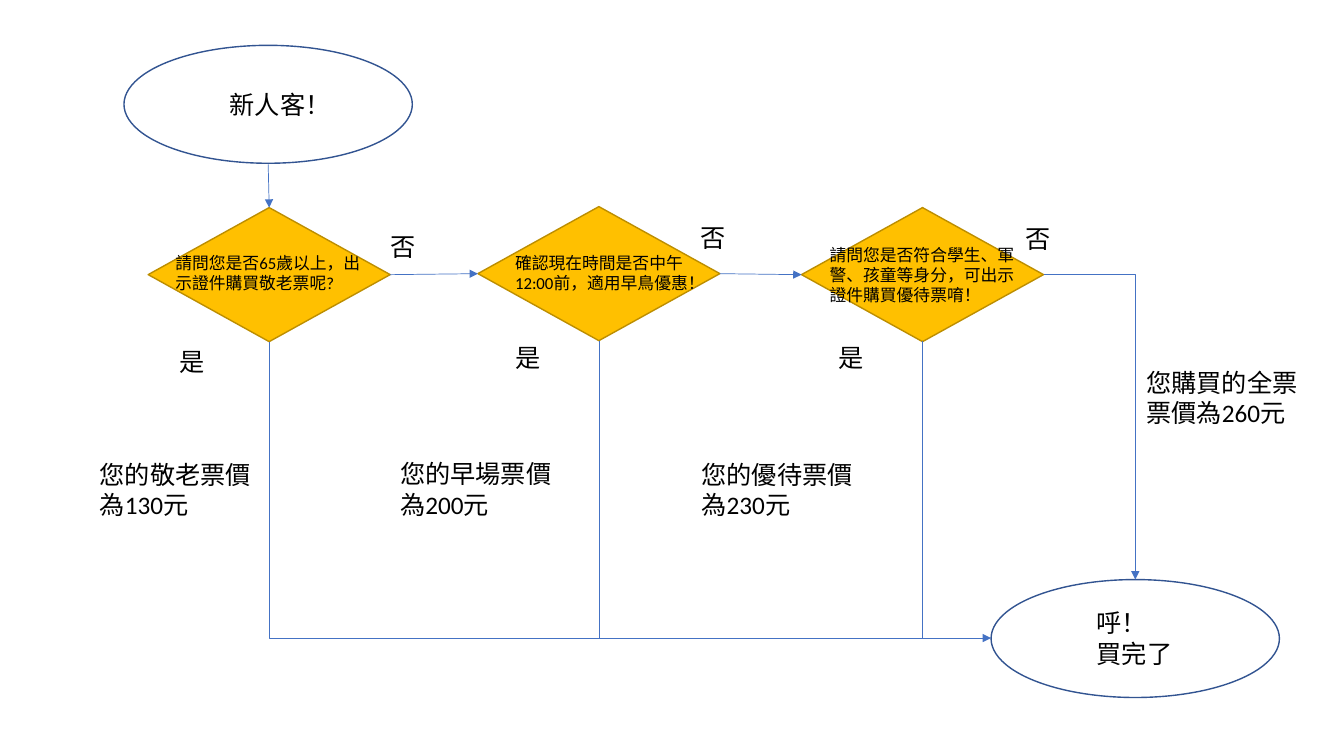
import pptx
import pptx.util
import pptx.dml.color
import pptx.enum.shapes
import pptx.enum.text
import pptx.oxml.ns
import pptx.oxml.xmlchemy
from dataclasses import dataclass

Inches = pptx.util.Inches
Pt = pptx.util.Pt
Kind = pptx.enum.shapes.MSO_SHAPE
Wire = pptx.enum.shapes.MSO_CONNECTOR
qn = pptx.oxml.ns.qn
make = pptx.oxml.xmlchemy.OxmlElement


@dataclass
class Theme:
    """Colours, font and sizes of the chart."""
    white: str = "FFFFFF"
    ink: str = "000000"
    gold: str = "FFC000"
    rim: str = "BD8E00"
    navy: str = "325491"
    blue: str = "4472C4"
    font: str = "Calibri"
    big: float = 18
    small: float = 12
    edge: float = 1
    thin: float = 0.5


def color(code):
    """Turn a hex code into a colour."""
    return pptx.dml.color.RGBColor.from_string(code)


def apply(item, values):
    """Set each named attribute on item."""
    for name, value in values.items():
        setattr(item, name, value)


class Flow:
    """Draws flow chart parts on one slide."""

    def __init__(self, slide, theme):
        """Keep the slide and its style."""
        self.shapes = slide.shapes
        self.theme = theme

    def node(self, kind, box, fill, line):
        """Add a filled, outlined shape."""
        shape = self.shapes.add_shape(kind, *map(Inches, box))
        shape.shadow.inherit = False
        shape.fill.solid()
        shape.fill.fore_color.rgb = color(fill)
        shape.line.color.rgb = color(line)
        shape.line.width = Pt(self.theme.edge)
        return shape

    def oval(self, x, y):
        """Add a start or end oval."""
        return self.node(Kind.OVAL, (x, y, 2.86, 1.17), self.theme.white, self.theme.navy)

    def choice(self, x, y):
        """Add a decision diamond."""
        return self.node(Kind.FLOWCHART_DECISION, (x, y, 2.4, 1.33), self.theme.gold, self.theme.rim)

    def text(self, words, x, y, wide, high=0.4, size=None):
        """Add a wrapped text box, one paragraph per line."""
        frame = self.shapes.add_textbox(*map(Inches, (x, y, wide, high))).text_frame
        apply(frame, {"word_wrap": True, "text": words,
                      "auto_size": pptx.enum.text.MSO_AUTO_SIZE.SHAPE_TO_FIT_TEXT})
        for para in frame.paragraphs:
            for run in para.runs:
                apply(run.font, {"name": self.theme.font, "size": Pt(size or self.theme.big)})
                run.font.color.rgb = color(self.theme.ink)

    def wire(self, start, end, arrow=True, kind=Wire.STRAIGHT):
        """Add a thin line, with an arrowhead if asked."""
        link = self.shapes.add_connector(kind, *map(Inches, start + end))
        link.line.color.rgb = color(self.theme.blue)
        link.line.width = Pt(self.theme.thin)
        props = link._element.spPr
        if arrow:
            tail = make("a:tailEnd")
            tail.set("type", "triangle")
            props.find(qn("a:ln")).append(tail)
        props.append(make("a:effectLst"))
        return link

    def bend(self, start, end, down=False):
        """Add a one-corner arrow, first across or first down."""
        (x1, y1), (x2, y2) = start, end
        if down:  # the same elbow, given a quarter turn about its centre
            midx, midy = (x1 + x2) / 2, (y1 + y2) / 2
            dx, dy = (x2 - x1) / 2, (y2 - y1) / 2
            start, end = (midx + dy, midy - dx), (midx - dy, midy + dx)
        link = self.wire(start, end, kind=Wire.ELBOW)
        props = link._element.spPr
        props.find(qn("a:prstGeom")).set("prst", "bentConnector2")
        if down:
            props.find(qn("a:xfrm")).set("rot", str(270 * 60000))


def main():
    """Build the ticket flow chart and save it."""
    deck = pptx.Presentation()
    apply(deck, {"slide_width": Inches(13.33), "slide_height": Inches(7.5)})
    theme = Theme()
    flow = Flow(deck.slides.add_slide(deck.slide_layouts[6]), theme)

    flow.oval(1.23, 0.45)
    flow.text("新人客！", 2.18, 0.84, 0.97)
    flow.oval(9.83, 5.75)
    flow.text("呼！\n買完了", 10.78, 5.98, 0.97, 0.71)

    # diamond place, question and its place, yes, no and price places, price
    steps = [
        ((1.47, 2.06), "請問您是否65歲以上，出示證件購買敬老票呢?", (1.64, 2.46),
         (1.68, 3.39), (3.77, 2.25), (0.89, 4.51), "您的敬老票價為130元"),
        ((4.74, 2.05), "確認現在時間是否中午12:00前，適用早鳥優惠！", (5.01, 2.46),
         (5.01, 3.35), (6.85, 2.16), (3.87, 4.5), "您的早場票價為200元"),
        ((7.95, 2.06), "請問您是否符合學生、軍警、孩童等身分，可出示證件購買優待票唷！", (8.13, 2.38),
         (8.22, 3.35), (10.07, 2.17), (6.86, 4.51), "您的優待票價為230元"),
    ]
    nodes = []
    for spot, ask, place, yes, no, cost, price in steps:
        nodes.append(flow.choice(*spot))
        flow.text(ask, *place, 2.04, 0.5, theme.small)
        flow.text("是", *yes, 0.54)
        flow.text("否", *no, 0.54)
        flow.text(price, *cost, 1.93, 0.71)
    flow.text("您購買的全票票價為260元", 11.27, 3.59, 1.93, 0.71)

    flow.wire((2.66, 1.63), (2.67, 2.06))
    for left, right in zip(nodes, nodes[1:]):
        link = flow.wire((0, 0), (1, 1))
        link.begin_connect(left, 3)
        link.end_connect(right, 1)
    flow.bend((10.35, 2.72), (11.26, 5.75))
    flow.bend((2.67, 3.39), (9.83, 6.33), down=True)
    for x in (5.94, 9.15):
        flow.wire((x, 3.38), (x, 6.33), arrow=False)

    deck.save("out.pptx")


main()
